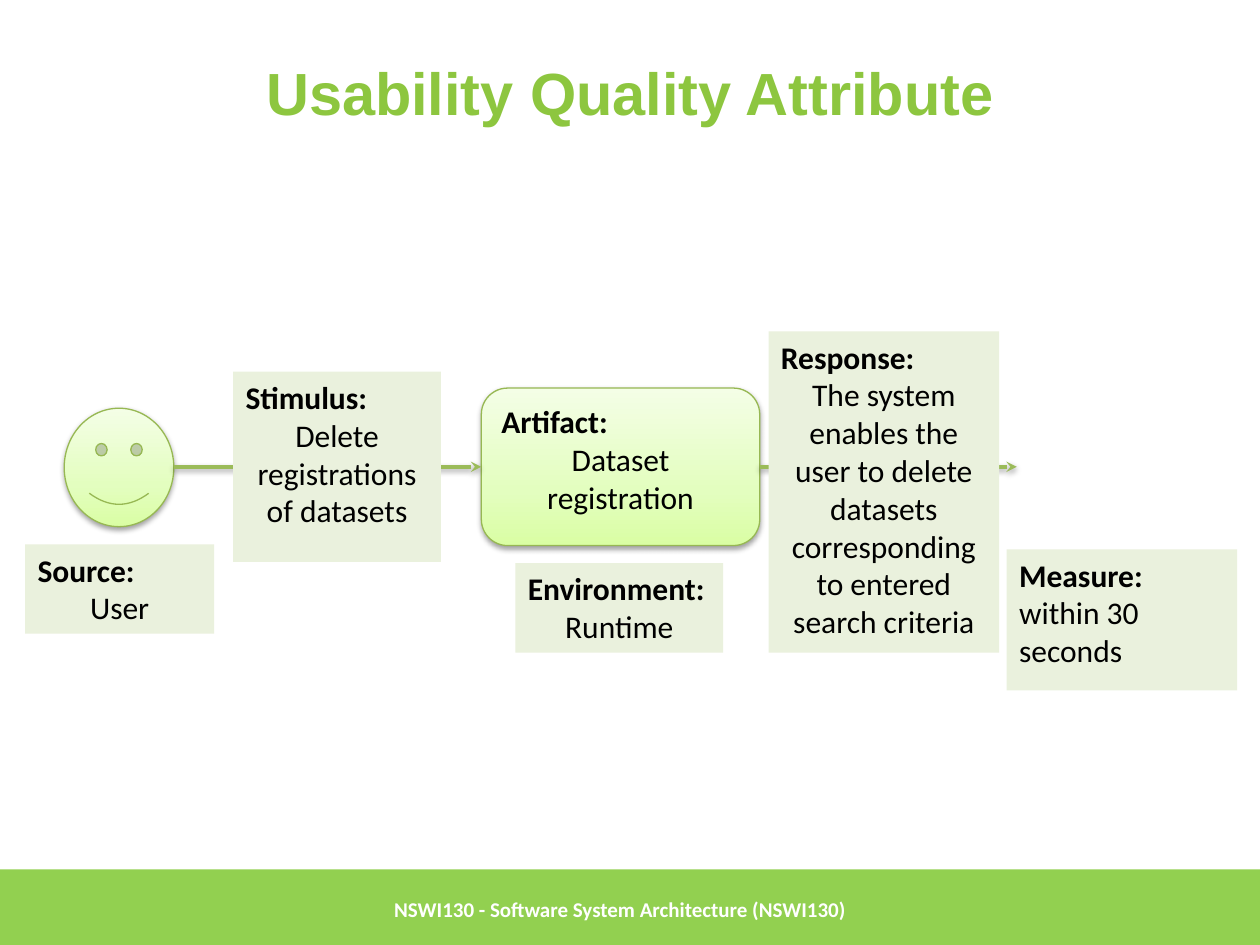
from copy import deepcopy

from lxml import etree
from pptx import Presentation
from pptx.dml.color import RGBColor
from pptx.enum.shapes import MSO_CONNECTOR, MSO_SHAPE
from pptx.enum.text import MSO_ANCHOR, PP_ALIGN
from pptx.oxml import parse_xml
from pptx.oxml.ns import nsdecls, qn
from pptx.util import Inches, Pt

RECTANGLE = MSO_SHAPE.RECTANGLE
ROUNDED = MSO_SHAPE.ROUNDED_RECTANGLE
SMILEY = MSO_SHAPE.SMILEY_FACE
STRAIGHT = MSO_CONNECTOR.STRAIGHT
MIDDLE = MSO_ANCHOR.MIDDLE
TOP = MSO_ANCHOR.TOP
LEFT = PP_ALIGN.LEFT
CENTER = PP_ALIGN.CENTER

WHITE = RGBColor(0xFF, 0xFF, 0xFF)
BLACK = RGBColor(0x00, 0x00, 0x00)
TITLE_GREEN = RGBColor(0x8D, 0xC6, 0x3F)
FOOTER_GREEN = RGBColor(0x92, 0xD0, 0x50)
LABEL_GREEN = RGBColor(0xEA, 0xF1, 0xDD)
OUTLINE_GREEN = RGBColor(0x97, 0xB8, 0x53)
ARROW_GREEN = RGBColor(0x9B, 0xBB, 0x59)
GRADIENT = (
    (0, RGBColor(0xDA, 0xFE, 0xA4)),
    (0.35, RGBColor(0xE3, 0xFE, 0xBF)),
    (1, RGBColor(0xF4, 0xFE, 0xE6)),
)
SHADOW = (
    f'<a:effectLst {nsdecls("a")}>'
    '<a:outerShdw blurRad="40000" dist="20000" dir="5400000" rotWithShape="0">'
    '<a:srgbClr val="000000"><a:alpha val="37000"/></a:srgbClr>'
    "</a:outerShdw></a:effectLst>"
)

deck = Presentation()
deck.slide_width, deck.slide_height = Inches(10), Inches(7.5)
page = deck.slides.add_slide(deck.slide_layouts[6])


def add_box(kind, left, top, width, height):
    """Add a shape; plain rectangles are flat, the others glossy with a shadow."""
    box = page.shapes.add_shape(
        kind, Inches(left), Inches(top), Inches(width), Inches(height))
    if kind == RECTANGLE:
        box.shadow.inherit = False
        box.fill.solid()
        box.fill.fore_color.rgb = LABEL_GREEN
        box.line.fill.background()
        return box
    box.fill.gradient()
    box.fill.gradient_angle = 90
    stop_list = box._element.spPr.find(qn("a:gradFill")).find(qn("a:gsLst"))
    stop_list.append(deepcopy(stop_list[0]))
    for stop, (position, color) in zip(box.fill.gradient_stops, GRADIENT):
        stop.position = position
        stop.color.rgb = color
    box.line.color.rgb = OUTLINE_GREEN
    box.line.width = Pt(0.75)
    box._element.spPr.append(parse_xml(SHADOW))
    return box


def write(box, lines, size, color, anchor=TOP, font="Calibri"):
    """Fill a box with (text, alignment) paragraphs, the first one bold."""
    frame = box.text_frame
    frame.word_wrap = True
    frame.vertical_anchor = anchor
    frame.text = "\n".join(text for text, _ in lines)
    for index, (para, (_, alignment)) in enumerate(zip(frame.paragraphs, lines)):
        para.alignment = alignment
        para.font.name = font
        para.font.size = Pt(size)
        para.font.bold = index == 0
        para.font.color.rgb = color


footer_bar = add_box(RECTANGLE, 0, 6.9, 10, 0.63)
footer_bar.fill.fore_color.rgb = FOOTER_GREEN

title = page.shapes.add_textbox(Inches(0.5), Inches(0.3), Inches(9), Inches(0.85))
write(title, [("Usability Quality Attribute", CENTER)], 34, TITLE_GREEN, MIDDLE, "Arial")

footer = page.shapes.add_textbox(Inches(3.03), Inches(6.9), Inches(6.02), Inches(0.63))
write(footer, [("NSWI130 - Software System Architecture (NSWI130)", LEFT)], 12, WHITE, MIDDLE)

# Flow from the user through the artifact, with arrows under the labels
add_box(SMILEY, 0.51, 3.24, 0.87, 0.94)
artifact = add_box(ROUNDED, 3.82, 3.08, 2.21, 1.25)
write(artifact, [("Artifact:", LEFT), ("Dataset registration", CENTER)], 18, BLACK)

flow_y = artifact.top + artifact.height // 2
stimulus_arrow = page.shapes.add_connector(
    STRAIGHT, Inches(1.38), flow_y, artifact.left, flow_y)
stimulus_arrow.end_connect(artifact, 1)
response_arrow = page.shapes.add_connector(
    STRAIGHT, artifact.left + artifact.width, flow_y, Inches(8.07), flow_y)
response_arrow.begin_connect(artifact, 3)
for arrow in (stimulus_arrow, response_arrow):
    arrow.line.color.rgb = ARROW_GREEN
    arrow.line.width = Pt(2)
    properties = arrow._element.spPr
    etree.SubElement(properties.find(qn("a:ln")), qn("a:tailEnd"), type="stealth")
    properties.append(parse_xml(SHADOW))

labels = [
    ("Source:", "User", CENTER, 0.2, 4.32, 1.5, 0.71),
    ("Stimulus:", "Delete registrations of datasets", CENTER, 1.85, 2.95, 1.65, 1.51),
    ("Environment:", "Runtime", CENTER, 4.09, 4.47, 1.65, 0.71),
    ("Response:",
     "The system enables the user to delete datasets corresponding to entered search criteria",
     CENTER, 6.1, 2.63, 1.83, 2.55),
    ("Measure:", "within 30 seconds", LEFT, 7.99, 4.36, 1.83, 1.12),
]
for heading, detail, alignment, *place in labels:
    write(add_box(RECTANGLE, *place), [(heading, LEFT), (detail, alignment)], 18, BLACK)

deck.save("out.pptx")
